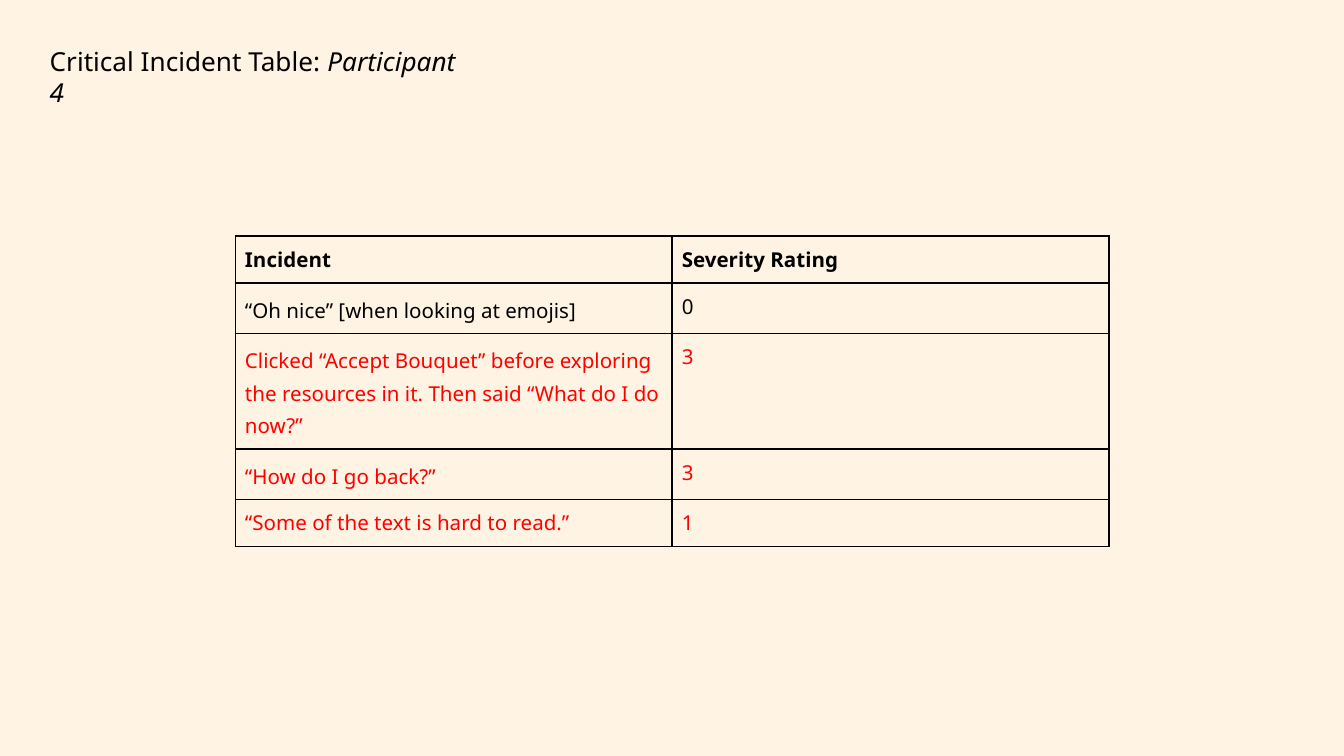
from lxml import etree
from pptx import Presentation
from pptx.dml.color import RGBColor
from pptx.oxml import ns
from pptx.util import Cm, Pt

FONT = "Noto Sans"
BLACK, RED, CREAM = "000000", "FF0000", "FFF4E4"
LOOSE = 1.15

# Incident, severity, text colour, line spacing of the incident, row height in cm
INCIDENTS = [
    ("“Oh nice” [when looking at emojis]", "0", BLACK, LOOSE, 0.95),
    ("Clicked “Accept Bouquet” before exploring the resources in it. "
     "Then said “What do I do now?”", "3", RED, LOOSE, 2.19),
    ("“How do I go back?”", "3", RED, LOOSE, 0.95),
    ("“Some of the text is hard to read.”", "1", RED, None, 0.89),
]


def rgb(value):
    return RGBColor.from_string(value)


def add_run(paragraph, words, size, color=BLACK, bold=False, italic=False):
    run = paragraph.add_run()
    run.text = words
    font = run.font
    font.name, font.size = FONT, Pt(size)
    font.bold, font.italic = bold, italic
    font.color.rgb = rgb(color)


def set_borders(cell, color=BLACK, width=Pt(1)):
    properties = cell._tc.get_or_add_tcPr()
    for side in ("a:lnL", "a:lnR", "a:lnT", "a:lnB"):
        line = etree.SubElement(properties, ns.qn(side), w=str(width))
        fill = etree.SubElement(line, ns.qn("a:solidFill"))
        etree.SubElement(fill, ns.qn("a:srgbClr"), val=color)


def fill_cell(cell, words, color, bold=False, spacing=None):
    cell.margin_left = cell.margin_right = Cm(0.18)
    cell.margin_top = cell.margin_bottom = Cm(0.18)
    set_borders(cell)
    cell.fill.background()
    paragraph = cell.text_frame.paragraphs[0]
    if spacing:
        paragraph.line_spacing = spacing
    add_run(paragraph, words, 11, color, bold)


def add_heading(slide, left, top, width, height):
    heading = slide.shapes.add_textbox(Cm(left), Cm(top), Cm(width), Cm(height))
    frame = heading.text_frame
    frame.word_wrap = True
    frame.margin_left = frame.margin_right = Cm(0.25)
    frame.margin_top = frame.margin_bottom = Cm(0.25)
    paragraph = frame.paragraphs[0]
    add_run(paragraph, "Critical Incident Table: ", 14)
    add_run(paragraph, "Participant 4", 14, italic=True)


def add_incident_table(slide, left, top, width):
    heights = [0.89] + [incident[-1] for incident in INCIDENTS]
    table = slide.shapes.add_table(len(heights), 2, Cm(left), Cm(top),
                                   Cm(width), Cm(sum(heights))).table
    table.horz_banding = False
    for column in table.columns:
        column.width = Cm(width / 2)
    for row, height in zip(table.rows, heights):
        row.height = Cm(height)

    # Header row
    for column, label in enumerate(("Incident", "Severity Rating")):
        fill_cell(table.cell(0, column), label, BLACK, bold=True)

    # One row for each incident
    for row, (incident, severity, color, spacing, _) in enumerate(INCIDENTS, 1):
        fill_cell(table.cell(row, 0), incident, color, spacing=spacing)
        fill_cell(table.cell(row, 1), severity, color)


def main():
    deck = Presentation()
    deck.slide_width, deck.slide_height = Cm(25.4), Cm(14.29)
    slide = deck.slides.add_slide(deck.slide_layouts[6])
    background = slide.background.fill
    background.solid()
    background.fore_color.rgb = rgb(CREAM)

    add_heading(slide, 0.69, 0.61, 8.46, 1.73)
    add_incident_table(slide, 4.45, 4.46, 16.51)
    deck.save("out.pptx")


if __name__ == "__main__":
    main()
